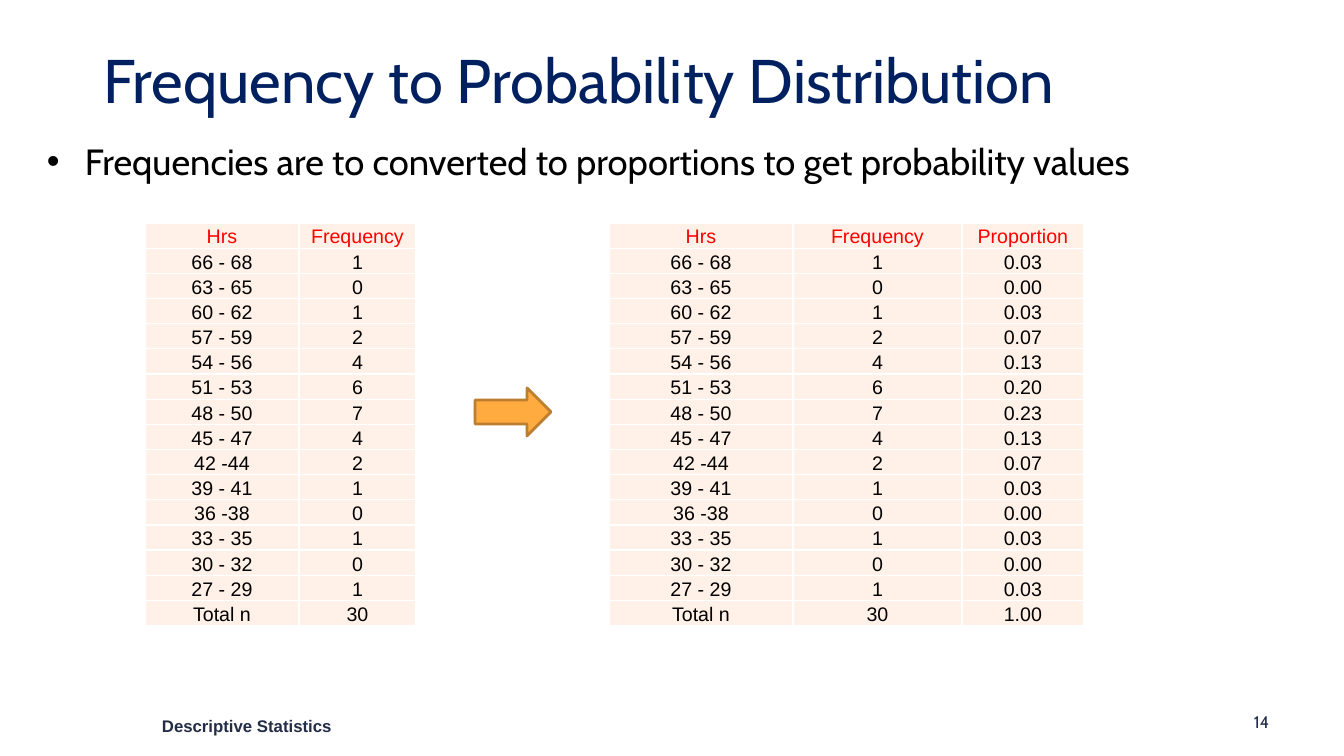
from dataclasses import dataclass

from lxml.etree import SubElement as Sub
from pptx import Presentation
from pptx.dml.color import RGBColor as Rgb
from pptx.enum.shapes import MSO_SHAPE as Shape
from pptx.enum.text import MSO_ANCHOR as Anchor, MSO_AUTO_SIZE as Fit, PP_ALIGN as Align
from pptx.oxml.ns import qn
from pptx.util import Emu, Pt


@dataclass(frozen=True)
class Theme:
    """Colours, fonts and type sizes of the deck."""
    navy: str = "002060"
    slate: str = "232D47"
    black: str = "000000"
    red: str = "FF0000"
    white: str = "FFFFFF"
    peach: str = "FFF1E8"
    gold: str = "FFAB40"
    brown: str = "BD7F2F"
    main: str = "Cabin"
    plain: str = "Arial"
    head: int = 44
    body: int = 26
    cell: int = 14
    foot: int = 12


def px(n):
    """Turn px into EMU."""
    return Emu(round(n * 914400 / 100.8))


class Page:
    """Draws styled elements on one slide."""

    def __init__(self, slide, theme):
        """Keep the slide and its style."""
        self.slide, self.theme = slide, theme

    def style(self, para, size, color, face, bold=False):
        """Format every run of a paragraph."""
        for run in para.runs:
            font = run.font
            font.size, font.name, font.bold = Pt(size), face, bold
            font.color.rgb = Rgb.from_string(color)

    def title(self, text, x, y, w, h):
        """Place and fill the title."""
        box = self.slide.shapes.title
        box.left, box.top, box.width, box.height = map(px, (x, y, w, h))
        frame = box.text_frame
        frame.text = text
        frame.auto_size, frame.vertical_anchor = Fit.NONE, Anchor.MIDDLE
        para = frame.paragraphs[0]
        para.alignment, para.line_spacing = Align.LEFT, 0.9
        self.style(para, self.theme.head, self.theme.navy, self.theme.main)

    def text(self, text, x, y, w, h, size, color, face, bold=False):
        """Add a line of text and return its paragraph."""
        frame = self.slide.shapes.add_textbox(*map(px, (x, y, w, h))).text_frame
        frame.word_wrap = True
        frame.text = text
        para = frame.paragraphs[0]
        self.style(para, size, color, face, bold)
        return para

    def bullet(self, text, x, y, w, h, indent):
        """Add a line of text with a hanging bullet."""
        theme = self.theme
        para = self.text(text, x, y, w, h, theme.body, theme.black, theme.main)
        props = para._p.get_or_add_pPr()
        props.set("marL", str(px(indent)))
        props.set("indent", str(-px(indent)))
        Sub(props, qn("a:buFont"), typeface=theme.plain)
        Sub(props, qn("a:buChar"), char="•")

    def cell(self, cell, text, color):
        """Fill, frame and label one table cell."""
        theme = self.theme
        props = cell._tc.get_or_add_tcPr()
        for side in "LRTB":
            line = Sub(props, qn(f"a:ln{side}"), w=str(Pt(1)))
            Sub(Sub(line, qn("a:solidFill")), qn("a:srgbClr"), val=theme.white)
        cell.fill.solid()
        cell.fill.fore_color.rgb = Rgb.from_string(theme.peach)
        cell.margin_left = cell.margin_right = cell.margin_top = px(1)
        cell.margin_bottom = 0
        cell.vertical_anchor = Anchor.BOTTOM
        cell.text_frame.text = text
        para = cell.text_frame.paragraphs[0]
        para.alignment = Align.CENTER
        self.style(para, theme.cell, color, theme.plain)

    def table(self, rows, x, y, widths, h):
        """Add a table with equal rows and a red heading."""
        size = map(px, (x, y, sum(widths), h))
        table = self.slide.shapes.add_table(len(rows), len(widths), *size).table
        table.first_row = table.horz_banding = False
        for col, width in zip(table.columns, widths):
            col.width = px(width)
        for r, row in enumerate(rows):
            color = self.theme.black if r else self.theme.red
            for c, text in enumerate(row):
                self.cell(table.cell(r, c), text, color)

    def arrow(self, x, y, w, h):
        """Add a block arrow pointing right."""
        arrow = self.slide.shapes.add_shape(Shape.RIGHT_ARROW, *map(px, (x, y, w, h)))
        arrow.shadow.inherit = False
        arrow.fill.solid()
        arrow.fill.fore_color.rgb = Rgb.from_string(self.theme.gold)
        arrow.line.color.rgb = Rgb.from_string(self.theme.brown)
        arrow.line.width = Pt(2)


def main():
    """Build the slide and save it."""
    hours = ("66 - 68", "63 - 65", "60 - 62", "57 - 59", "54 - 56", "51 - 53", "48 - 50",
             "45 - 47", "42 -44", "39 - 41", "36 -38", "33 - 35", "30 - 32", "27 - 29")
    counts = (1, 0, 1, 2, 4, 6, 7, 4, 2, 1, 0, 1, 0, 1)
    total = sum(counts)
    pairs = [*zip(hours, counts), ("Total n", total)]
    freqs = [("Hrs", "Frequency"), *((name, str(n)) for name, n in pairs)]
    props = ["Proportion", *(f"{n / total:.2f}" for _, n in pairs)]
    probs = [(*row, prop) for row, prop in zip(freqs, props)]

    deck = Presentation()
    deck.slide_width, deck.slide_height = px(1344), px(756)
    theme = Theme()
    page = Page(deck.slides.add_slide(deck.slide_layouts[5]), theme)
    page.title("Frequency to Probability Distribution", 93, 40, 1159, 87)
    page.bullet("Frequencies are to converted to proportions to get probability values",
                37, 134, 1238, 54, 38)
    page.table(freqs, 145, 223, (154, 117), 403)
    page.table(probs, 609, 223, (184, 169, 122), 403)
    page.arrow(475, 388, 76, 48)
    page.text("Descriptive Statistics", 152, 711, 221, 30,
              theme.foot, theme.slate, theme.plain, True)
    page.text("14", 1244, 707, 68, 30, theme.foot, theme.slate, theme.main)
    deck.save("out.pptx")


if __name__ == "__main__":
    main()
